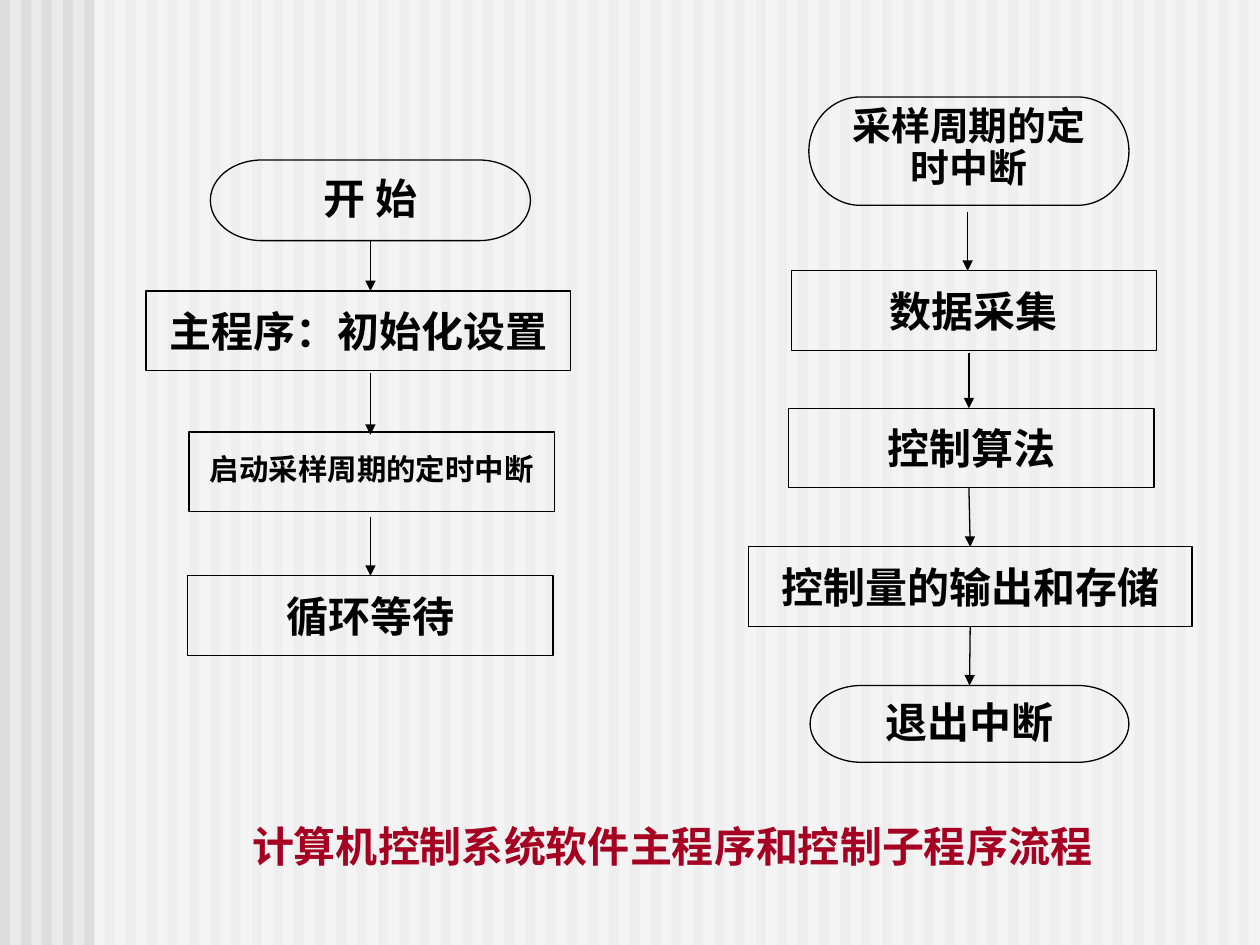
import pptx
import pptx.dml.color
import pptx.enum.dml
import pptx.enum.shapes
import pptx.enum.text
import pptx.oxml
import pptx.oxml.ns
import pptx.util
from pptx.dml.color import RGBColor
from pptx.util import Inches

BLACK = RGBColor(0x00, 0x00, 0x00)
WHITE = RGBColor(0xFF, 0xFF, 0xFF)
CRIMSON = RGBColor(0xA5, 0x00, 0x21)
BACKGROUND = RGBColor(0xEA, 0xEA, 0xEA)
STRIPE = RGBColor(0xDD, 0xDD, 0xDD)

RECTANGLE = pptx.enum.shapes.MSO_SHAPE.RECTANGLE
PROCESS = pptx.enum.shapes.MSO_SHAPE.FLOWCHART_PROCESS
TERMINATOR = pptx.enum.shapes.MSO_SHAPE.FLOWCHART_TERMINATOR
ANCHOR = pptx.enum.text.MSO_ANCHOR
ALIGN = pptx.enum.text.PP_ALIGN
TOP, BOTTOM = 0, 2
STRIPE_COUNT = 60
LINE_WIDTH = pptx.util.Pt(0.75)

# name: (preset, left, top, width, height, text, size, line spacing)
STEPS = {
    "start": (TERMINATOR, 1.67, 1.27, 2.54, 0.64, "开 始", 24, 1),
    "initialise": (PROCESS, 1.16, 2.31, 3.37, 0.63, "主程序：初始化设置", 24, 1),
    "start timer": (PROCESS, 1.5, 3.43, 2.9, 0.63, "启动采样周期的定时中断", 16.8, 0.8),
    "wait": (PROCESS, 1.49, 4.57, 2.9, 0.63, "循环等待", 24, 1),
    "interrupt": (TERMINATOR, 6.42, 0.77, 2.54, 0.86, "采样周期的定时中断", 22.2, 0.9),
    "sample": (PROCESS, 6.28, 2.15, 2.9, 0.63, "数据采集", 24, 1),
    "control": (PROCESS, 6.26, 3.24, 2.9, 0.63, "控制算法", 24, 1),
    "output": (PROCESS, 5.94, 4.34, 3.52, 0.63, "控制量的输出和存储", 24, 1),
    "exit": (TERMINATOR, 6.43, 5.44, 2.53, 0.61, "退出中断", 24, 1),
}

# (from x, from y, to x, to y, joined step above, joined step below)
ARROWS = [
    (2.94, 1.91, 2.94, 2.31, "start", None),
    (2.94, 2.96, 2.94, 3.45, None, None),
    (2.94, 4.1, 2.94, 4.57, None, "wait"),
    (7.68, 1.68, 7.68, 2.15, None, None),
    (7.69, 2.8, 7.69, 3.24, None, None),
    (7.69, 3.87, 7.7, 4.34, None, "output"),
    (7.7, 4.97, 7.7, 5.44, "output", "exit"),
]


def set_attributes(target, values):
    for name, value in values.items():
        setattr(target, name, value)


def write_text(shape, text, size, color, frame_format, paragraph_format):
    frame = shape.text_frame
    set_attributes(frame, {"word_wrap": True, **frame_format})
    paragraph = frame.paragraphs[0]
    set_attributes(paragraph, paragraph_format)
    run = paragraph.add_run()
    run.text = text
    set_attributes(run.font, {"size": pptx.util.Pt(size), "bold": True, "name": "Times New Roman"})
    run.font.color.rgb = color


def add_band(slide, left, top, width, height, color):
    shape = slide.shapes.add_shape(
        RECTANGLE, Inches(left), Inches(top), Inches(width), Inches(height))
    shape.shadow.inherit = False
    shape.fill.solid()
    shape.fill.fore_color.rgb = color
    shape.line.fill.background()
    return shape


def add_backdrop(slide):
    slide.background.fill.solid()
    slide.background.fill.fore_color.rgb = BACKGROUND
    for index in range(STRIPE_COUNT):
        add_band(slide, round(index / 6, 2), 0, 0.08, 7.5, STRIPE)
    # Half-transparent veil over all but the left edge
    veil = add_band(slide, 0.75, 0, 9.25, 7.5, WHITE)
    color = veil.element.spPr.find(".//" + pptx.oxml.ns.qn("a:srgbClr"))
    alpha = pptx.oxml.parse_xml(f'<a:alpha {pptx.oxml.ns.nsdecls("a")} val="50000"/>')
    color.append(alpha)


def add_step(slide, preset, left, top, width, height, text, size, spacing):
    shape = slide.shapes.add_shape(
        preset, Inches(left), Inches(top), Inches(width), Inches(height))
    shape.shadow.inherit = False
    shape.fill.background()
    shape.line.color.rgb = BLACK
    shape.line.width = LINE_WIDTH
    frame_format = {
        "vertical_anchor": ANCHOR.MIDDLE,
        "margin_top": Inches(0.01 if preset == TERMINATOR else 0.05),
    }
    write_text(shape, text, size, BLACK, frame_format,
               {"alignment": ALIGN.CENTER, "line_spacing": spacing})
    return shape


def add_arrow(slide, start_x, start_y, end_x, end_y, above, below):
    connector = slide.shapes.add_connector(
        pptx.enum.shapes.MSO_CONNECTOR.STRAIGHT,
        Inches(start_x), Inches(start_y), Inches(end_x), Inches(end_y))
    if above is not None:
        connector.begin_connect(above, BOTTOM)
    if below is not None:
        connector.end_connect(below, TOP)
    connector.line.color.rgb = BLACK
    connector.line.width = LINE_WIDTH
    namespace = pptx.oxml.ns.nsdecls("a")
    connector.line._get_or_add_ln().append(
        pptx.oxml.parse_xml(f'<a:tailEnd {namespace} type="triangle"/>'))
    connector.element.spPr.append(pptx.oxml.parse_xml(f"<a:effectLst {namespace}/>"))


def add_title(slide, text):
    title = slide.shapes.title
    set_attributes(title, {"left": Inches(1.67), "top": Inches(6.05),
                           "width": Inches(7.48), "height": Inches(0.91)})
    frame_format = {
        "vertical_anchor": ANCHOR.BOTTOM,
        "margin_left": Inches(0.33),
        "auto_size": pptx.enum.text.MSO_AUTO_SIZE.NONE,
    }
    write_text(title, text, 24, CRIMSON, frame_format, {"alignment": ALIGN.LEFT})
    # Bring the title in front of the backdrop
    title.element.getparent().append(title.element)


def main():
    presentation = pptx.Presentation()
    set_attributes(presentation, {"slide_width": Inches(10), "slide_height": Inches(7.5)})
    slide = presentation.slides.add_slide(presentation.slide_layouts[5])

    # Backdrop and title
    add_backdrop(slide)
    add_title(slide, "计算机控制系统软件主程序和控制子程序流程")

    # Main program on the left, interrupt routine on the right
    steps = {name: add_step(slide, *values) for name, values in STEPS.items()}
    for *points, above, below in ARROWS:
        add_arrow(slide, *points, steps.get(above), steps.get(below))

    presentation.save("out.pptx")


if __name__ == "__main__":
    main()
